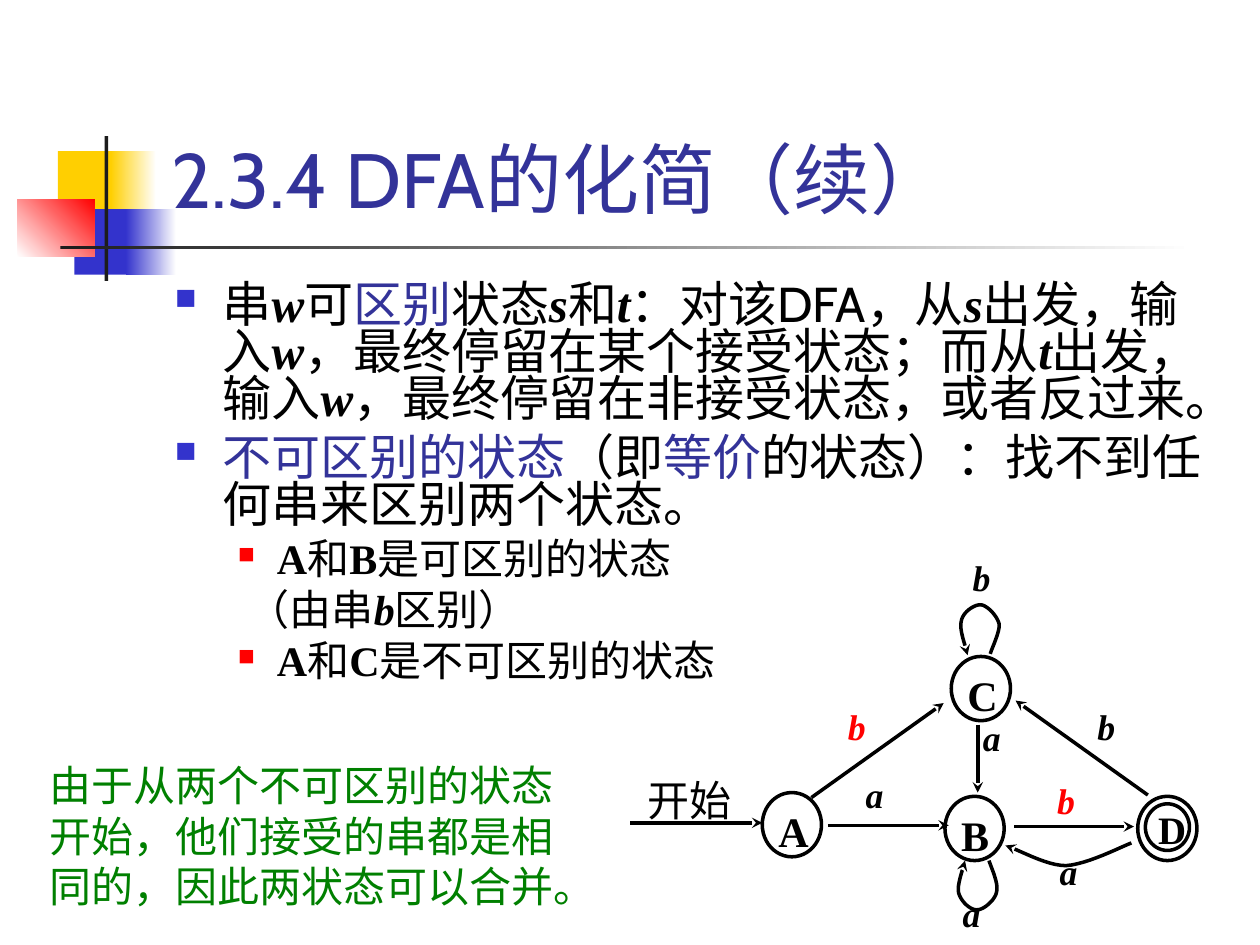
from lxml import etree
from pptx import Presentation
from pptx import util as u
from pptx.dml.color import RGBColor
from pptx.enum import shapes, text
from pptx.oxml import ns

HUES = {"ink": "000000", "blue": "333399", "navy": "3333CC", "red": "FF0000",
        "gold": "FFCF01", "dark": "1C1C1C", "white": "FFFFFF", "green": "008000"}
SANS, SERIF = "Cabin", "Times New Roman"
STYLES = {
    "n": {"name": SANS},
    "k": {"name": SANS, "hue": "blue"},
    "i": {"name": SERIF, "bold": True, "italic": True},
    "b": {"name": SERIF, "bold": True},
    "r": {"name": SERIF, "bold": True, "italic": True, "hue": "red"},
    "s": {"name": SERIF},
    "g": {"name": SERIF, "hue": "green"},
}


def tint(key):
    return RGBColor.from_string(HUES[key])


def child(node, tag, **attrs):
    return etree.SubElement(node, ns.qn(tag), attrs)


def write(para, runs, size, **form):
    for words, key in runs:
        run = para.add_run()
        run.text = words
        style = {**STYLES[key], "size": u.Pt(size)}
        run.font.color.rgb = tint(style.pop("hue", "ink"))
        for name, value in style.items():
            setattr(run.font, name, value)
    for name, value in form.items():
        setattr(para, name, value)


def setup(frame, pads=(0.1, 0.05, 0.1, 0.05), wrap=True, anchor=text.MSO_ANCHOR.TOP):
    sides = ("left", "top", "right", "bottom")
    form = {f"margin_{side}": u.Inches(pad) for side, pad in zip(sides, pads)}
    for name, value in {**form, "word_wrap": wrap, "vertical_anchor": anchor}.items():
        setattr(frame, name, value)
    return frame


def textbox(slide, box, **form):
    return setup(slide.shapes.add_textbox(*map(u.Inches, box)).text_frame, **form)


def stroke(shape, arrow=True):
    shape.line.color.rgb = tint("ink")
    shape.line.width = u.Pt(2)
    props = shape.element.spPr
    if arrow:
        child(props.find(ns.qn("a:ln")), "a:tailEnd", type="stealth")
    if props.find(ns.qn("a:effectLst")) is None:
        child(props, "a:effectLst")


# Corner ornament and title rule
def ornament(slide, x, y):
    bars = [
        (0.32, 0.12, 0.48, 0.52, "gold", None, 0),
        (0.74, 0.12, 0.36, 0.52, "gold", "white", 0),
        (0.45, 0.58, 0.46, 0.52, "navy", None, 0),
        (0.86, 0.58, 0.4, 0.52, "navy", "white", 0),
        (0, 0.5, 0.61, 0.46, "white", "red", 45),
        (0.69, 0, 0.03, 1.15, "dark", None, 0),
        (0.34, 0.87, 9, 0.03, "dark", "white", 0),
    ]
    for dx, dy, w, h, start, end, angle in bars:
        bar = slide.shapes.add_shape(shapes.MSO_SHAPE.RECTANGLE,
                                     *map(u.Inches, (x + dx, y + dy, w, h)))
        bar.shadow.inherit = False
        bar.line.fill.background()
        if end:
            bar.fill.gradient()
            bar.fill.gradient_angle = angle
            for stop, key in zip(bar.fill.gradient_stops, (start, end)):
                stop.color.rgb = tint(key)
        else:
            bar.fill.solid()
            bar.fill.fore_color.rgb = tint(start)


def title(slide, box):
    frame = textbox(slide, box, anchor=text.MSO_ANCHOR.BOTTOM)
    write(frame.paragraphs[0], [("2.3.4 DFA的化简（续）", "k")], 44)


# Bulleted definitions
def body(slide, box):
    top, sub, plain = (0.38, -0.38, "navy", 60), (0.81, -0.31, "red", 55), (0.81, -0.23, None, 0)
    items = [
        (28, top, [("串", "n"), ("w", "i"), ("可", "n"), ("区别", "k"), ("状态", "n"),
                   ("s", "i"), ("和", "n"), ("t", "i"), ("：对该DFA，从", "n"), ("s", "i"),
                   ("出发，输入", "n"), ("w", "i"), ("，最终停留在某个接受状态；而从", "n"),
                   ("t", "i"), ("出发，输入", "n"), ("w", "i"),
                   ("，最终停留在非接受状态，或者反过来。", "n")]),
        (28, top, [("不可区别的状态", "k"), ("（即", "n"), ("等价", "k"),
                   ("的状态）：找不到任何串来区别两个状态。", "n")]),
        (24, sub, [("A", "b"), ("和", "n"), ("B", "b"), ("是可区别的状态", "n")]),
        (24, plain, [("（由串", "n"), ("b", "i"), ("区别）", "n")]),
        (24, sub, [("A", "b"), ("和", "n"), ("C", "b"), ("是不可区别的状态", "n")]),
    ]
    frame = textbox(slide, box)
    for num, (size, (left, hang, hue, scale), runs) in enumerate(items):
        para = frame.add_paragraph() if num else frame.paragraphs[0]
        write(para, runs, size, line_spacing=0.8, space_before=u.Pt(size / 4))
        props = para._p.get_or_add_pPr()
        props.set("marL", str(u.Inches(left)))
        props.set("indent", str(u.Inches(hang)))
        if hue:
            child(child(props, "a:buClr"), "a:srgbClr", val=HUES[hue])
            child(props, "a:buSzPct", val=str(scale * 1000))
            child(props, "a:buChar", char="■")


def remark(slide, box):
    frame = textbox(slide, box, pads=(0.06, 0.03, 0.06, 0.03), wrap=False)
    lines = ("由于从两个不可区别的状态", "开始，他们接受的串都是相", "同的，因此两状态可以合并。")
    for num, line in enumerate(lines):
        write(frame.add_paragraph() if num else frame.paragraphs[0], [(line, "g")], 24)


def ring(slide, x, y, w=0.47, h=0.51):
    oval = slide.shapes.add_shape(shapes.MSO_SHAPE.OVAL, *map(u.Inches, (x, y, w, h)))
    oval.shadow.inherit = False
    oval.fill.background()
    stroke(oval, arrow=False)
    return oval


def bezier(points, steps=12):
    """Sample chained cubic curves: a start point, then three points per curve."""
    path = [points[0]]
    for first in range(0, len(points) - 1, 3):
        quad = points[first:first + 4]
        for step in range(1, steps + 1):
            t = step / steps
            mix = ((1 - t) ** 3, 3 * t * (1 - t) ** 2, 3 * t * t * (1 - t), t ** 3)
            path.append(tuple(sum(m * p[axis] for m, p in zip(mix, quad)) for axis in (0, 1)))
    return path


# State diagram of the automaton
def graph(slide, x, y):
    for name, dx, dy in (("A", 1.05, 1.87), ("B", 2.5, 1.9), ("C", 2.55, 0.79)):
        frame = setup(ring(slide, x + dx, y + dy).text_frame, (0.06, 0.03, 0.02, 0.05))
        write(frame.paragraphs[0], [(name, "b")], 24, alignment=text.PP_ALIGN.LEFT)
    ring(slide, x + 4.03, y + 1.9)
    frame = setup(ring(slide, x + 4.09, y + 1.96, 0.35, 0.37).text_frame, (0.05, 0, 0.01, 0))
    write(frame.paragraphs[0], [("D", "b")], 22.2, line_spacing=0.9,
          alignment=text.PP_ALIGN.LEFT)

    # Straight edges
    edges = [(0, 2.11, 1.05, 2.11), (1.57, 2.13, 2.53, 2.13), (3.05, 2.14, 4, 2.14),
             (1.44, 1.91, 2.49, 1.16), (2.76, 1.33, 2.76, 1.87), (4.11, 1.89, 3.06, 1.14)]
    for x1, y1, x2, y2 in edges:
        ends = map(u.Inches, (x + x1, y + y1, x + x2, y + y2))
        stroke(slide.shapes.add_connector(shapes.MSO_CONNECTOR.STRAIGHT, *ends))

    # Curved edges: loop on C, loop on B, D to B
    curves = [
        [(2.86, 0.77), (2.87, 0.73), (2.94, 0.59), (2.93, 0.53), (2.91, 0.46), (2.83, 0.38),
         (2.78, 0.38), (2.73, 0.38), (2.64, 0.44), (2.63, 0.51), (2.61, 0.58), (2.67, 0.72),
         (2.68, 0.78)],
        [(2.85, 2.41), (2.86, 2.45), (2.93, 2.59), (2.91, 2.66), (2.9, 2.72), (2.81, 2.8),
         (2.76, 2.8), (2.71, 2.81), (2.63, 2.74), (2.61, 2.67), (2.59, 2.61), (2.65, 2.46),
         (2.66, 2.41)],
        [(3.98, 2.27), (3.9, 2.3), (3.63, 2.44), (3.46, 2.45), (3.3, 2.45), (3.08, 2.32),
         (2.98, 2.29)],
    ]
    for curve in curves:
        path = [(u.Inches(x + px), u.Inches(y + py)) for px, py in bezier(curve)]
        pen = slide.shapes.build_freeform(*path[0])
        pen.add_line_segments(path[1:], close=False)
        arc = pen.convert_to_shape()
        arc.shadow.inherit = False
        arc.fill.background()
        stroke(arc)

    # Edge labels
    tags = [("a", "i", 1.81, 1.72), ("a", "i", 2.58, 2.67), ("b", "r", 3.33, 1.77),
            ("b", "r", 1.67, 1.18), ("a", "i", 3.35, 2.33), ("b", "i", 2.66, 0),
            ("b", "i", 3.65, 1.18), ("a", "i", 2.74, 1.27)]
    pads = (0.06, 0.03, 0.06, 0.03)
    for word, key, dx, dy in tags:
        frame = textbox(slide, (x + dx, y + dy, 0.39, 0.41), pads=pads)
        write(frame.paragraphs[0], [(word, key)], 20.4, line_spacing=0.9)
    frame = textbox(slide, (x + 0.08, y + 1.7, 0.82, 0.48), pads=pads)
    write(frame.paragraphs[0], [("开始", "s")], 24)


def main():
    deck = Presentation()
    deck.slide_width, deck.slide_height = u.Inches(10), u.Inches(7.5)
    slide = deck.slides.add_slide(deck.slide_layouts[6])
    ornament(slide, 0.14, 1.08)
    title(slide, (1.26, 0.23, 8.52, 1.6))
    body(slide, (1.29, 2.21, 8.5, 4.5))
    graph(slide, 5, 4.42)
    remark(slide, (0.33, 6, 4.45, 1.26))
    deck.save("out.pptx")


if __name__ == "__main__":
    main()
